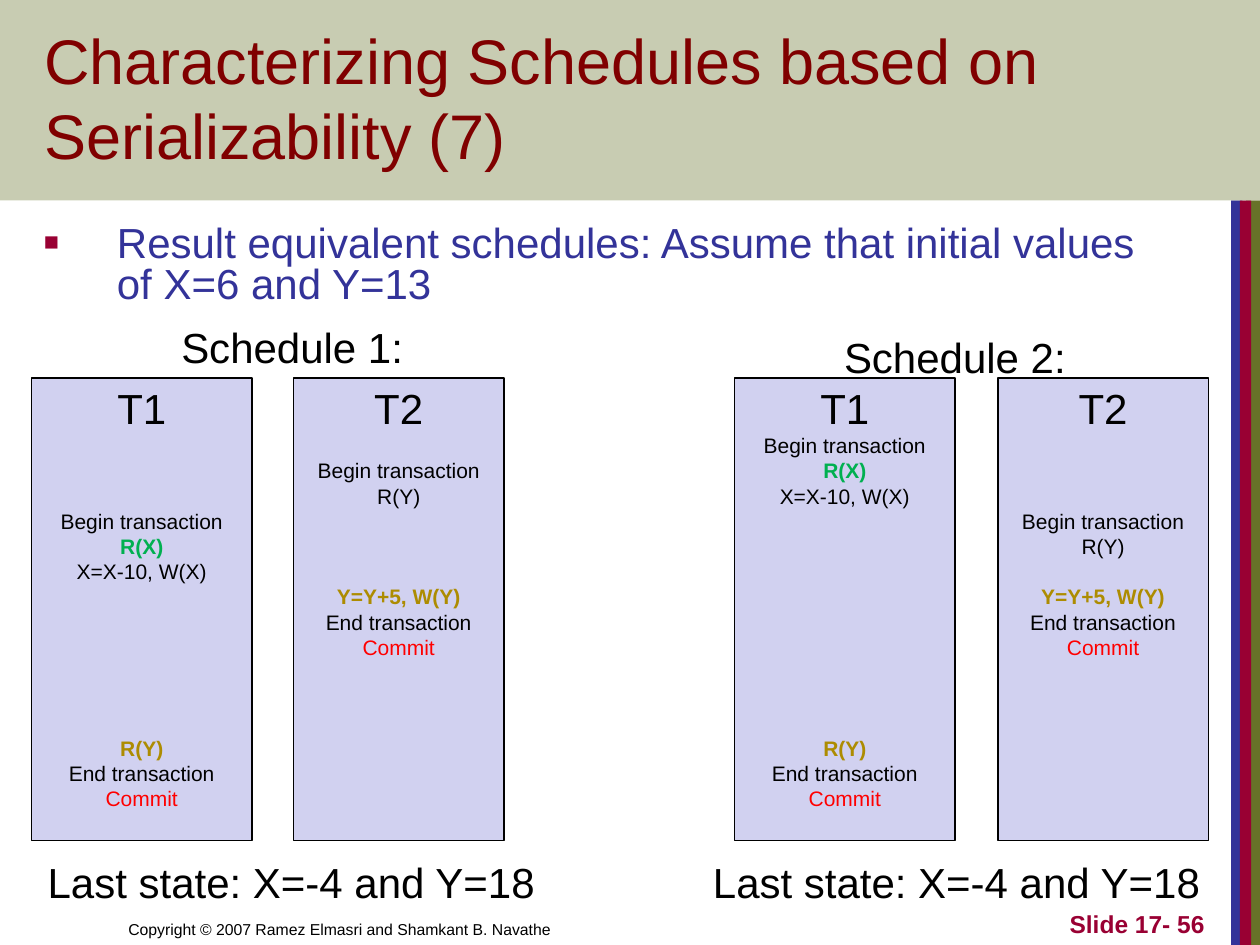
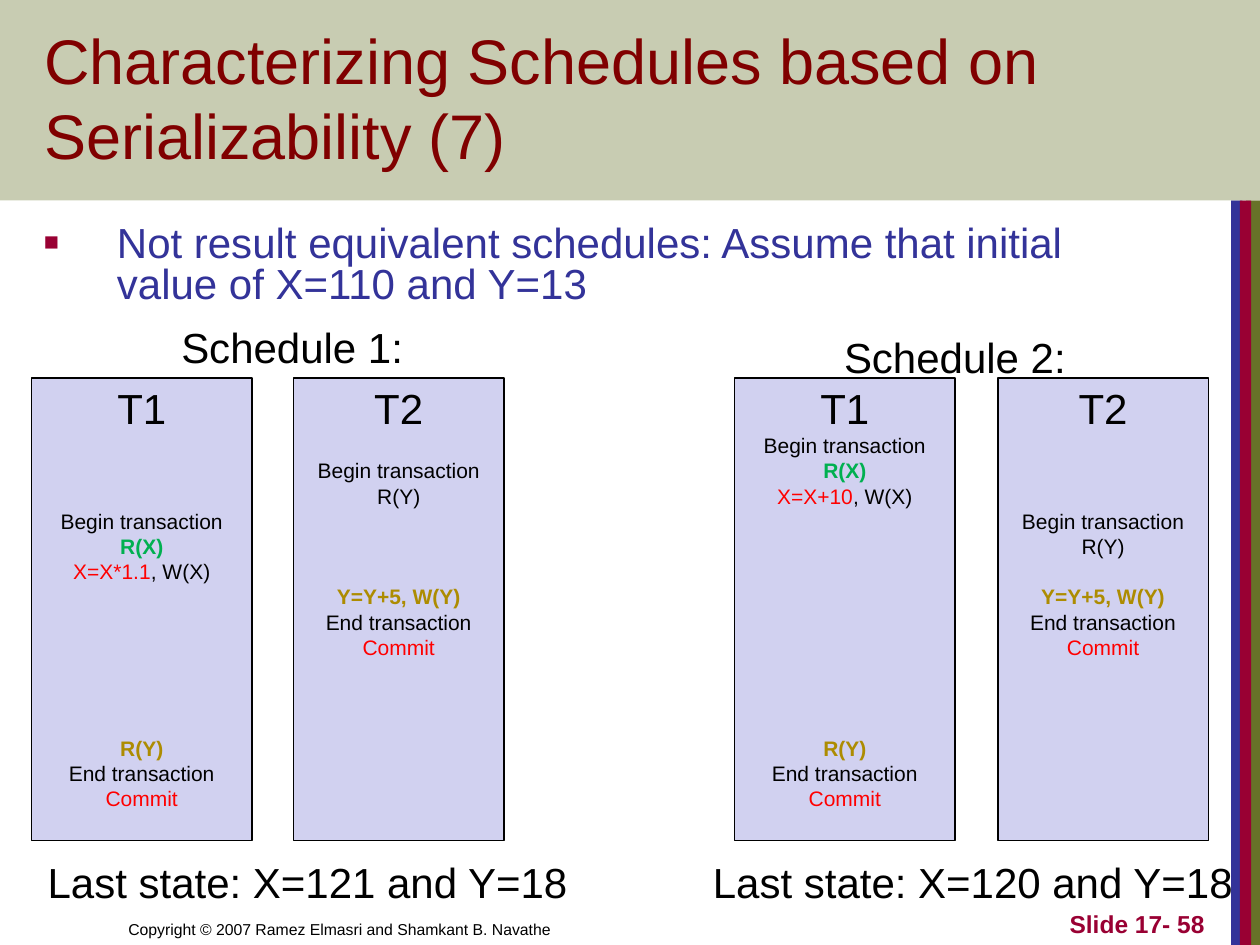
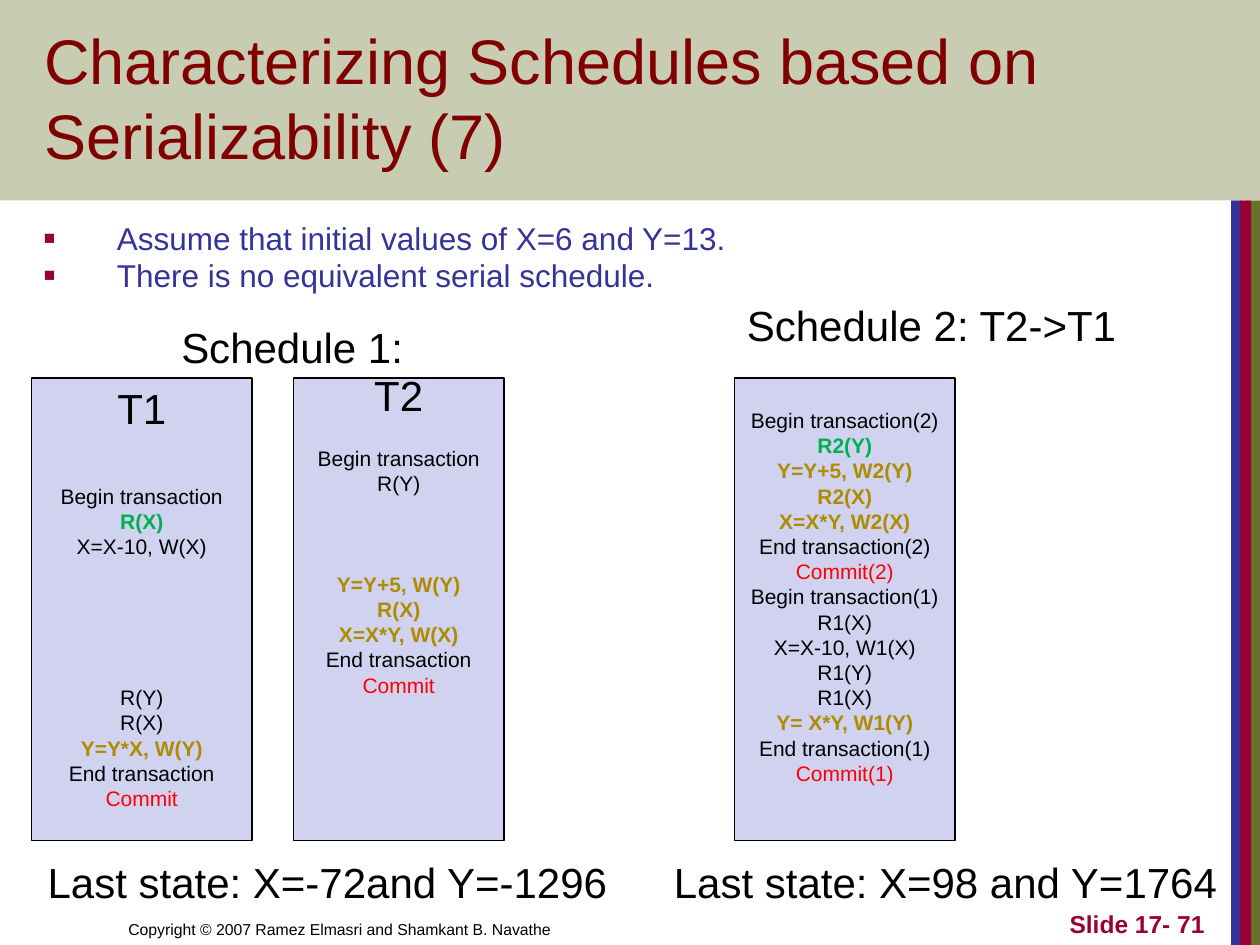
import pptx
import pptx.util
from lxml import etree
from pptx.dml.color import RGBColor
from pptx.enum.shapes import MSO_SHAPE
from pptx.enum.text import MSO_ANCHOR, MSO_AUTO_SIZE, PP_ALIGN
from pptx.oxml.ns import qn
from pptx.util import Inches

FONT = "Arial"
BLACK, NAVY, CRIMSON, MAROON = "000000", "333399", "990033", "800000"
OLIVE, SAGE, LAVENDER = "677228", "C8CCB2", "D1D1F0"

TITLE = "Characterizing Schedules based on Serializability (7)"
COPYRIGHT = "Copyright © 2007 Ramez Elmasri and Shamkant B. Navathe"

# left, top, width, height, colour; later bands overlap earlier ones
BANDS = [
    (9.89, 1.59, 0.11, 5.91, OLIVE),
    (9.77, 1.59, 0.09, 5.91, NAVY),
    (9.84, 1.59, 0.09, 5.91, CRIMSON),
    (0, 0, 10, 1.59, SAGE),
]

# Run styles: size, colour, bold
HEADING = (24, BLACK, False)
STEP = (12, BLACK, False)
READ = (12, "00B050", True)
CHANGE = (12, "AD8C01", True)
ALERT = (12, "FF0000", False)

# A line is the number of empty rows above it, then its runs
ROW_HEIGHT = 14.4
T1 = (0, ("T1", HEADING))
T2 = (0, ("T2", HEADING))
READ_X = (0, ("R(X)", READ))
SUBTRACT_X = (0, ("X=X-10, W(X)", STEP))
FINISH = [(0, ("End transaction", STEP)), (0, ("Commit", ALERT))]
WRITE_Y = ("Y=Y+5, W(Y)", CHANGE)

t2_early_start = [T2, (1, ("Begin transaction", STEP)), (0, ("R(Y)", STEP)), (3, WRITE_Y)]
t2_early = t2_early_start + FINISH
t2_late = [T2, (3, ("Begin transaction", STEP)), (0, ("R(Y)", STEP)), (1, WRITE_Y)] + FINISH
t2_multiply = t2_early_start + [
    (0, ("R(X)", CHANGE)), (0, ("X=X*Y, W(X)", CHANGE))] + FINISH

t1_late_start = [T1, (3, ("Begin transaction", STEP)), READ_X]
t1_late_end = [(6, ("R(Y)", CHANGE))] + FINISH
t1_early_start = [T1, (0, ("Begin transaction", STEP)), READ_X]
t1_early_end = [(9, ("R(Y)", CHANGE))] + FINISH
t1_multiply = [
    T1, (2, ("Begin transaction", STEP)), READ_X, SUBTRACT_X,
    (5, ("R(Y)", STEP)), (0, ("R(X)", STEP)), (0, ("Y=Y*X, W(Y)", CHANGE))] + FINISH
scale_x = (0, ("X=X*1.1", ALERT), (", W(X)", STEP))
increase_x = (0, ("X=X+10", ALERT), (", W(X)", STEP))
serial_t2_t1 = [(0, run) for run in [
    ("Begin transaction(2)", STEP), ("R2(Y)", READ), ("Y=Y+5, W2(Y)", CHANGE),
    ("R2(X)", CHANGE), ("X=X*Y, W2(X)", CHANGE), ("End transaction(2)", STEP),
    ("Commit(2)", ALERT), ("Begin transaction(1)", STEP), ("R1(X)", STEP),
    ("X=X-10, W1(X)", STEP), ("R1(Y)", STEP), ("R1(X)", STEP),
    ("Y= X*Y, W1(Y)", CHANGE), ("End transaction(1)", STEP), ("Commit(1)", ALERT)]]

COLUMNS = [(0.25, 1.75), (2.33, 1.67), (5.83, 1.75), (7.92, 1.67)]
SCHEDULE_1 = (1.34, 2.5, 1.98, "Schedule 1:")
SCHEDULE_2 = (6.6, 2.58, 1.98, "Schedule 2:")

# Each transaction is (empty rows below the text, lines)
# Each caption is (left, top, width, text)
SLIDES = [
    dict(number=56, point_size=24,
         points=["Result equivalent schedules: Assume that initial values of X=6 and Y=13"],
         transactions=[(1, t1_late_start + [SUBTRACT_X] + t1_late_end), (7, t2_early),
                       (1, t1_early_start + [SUBTRACT_X] + t1_early_end), (7, t2_late)],
         captions=[SCHEDULE_1, SCHEDULE_2,
                   (0.28, 6.75, 4.11, "Last state: X=-4 and Y=18"),
                   (5.56, 6.75, 4.11, "Last state: X=-4 and Y=18")]),
    dict(number=58, point_size=24,
         points=["Not result equivalent schedules: Assume that initial value of X=110 and Y=13"],
         transactions=[(1, t1_late_start + [scale_x] + t1_late_end), (7, t2_early),
                       (1, t1_early_start + [increase_x] + t1_early_end), (7, t2_late)],
         captions=[SCHEDULE_1, SCHEDULE_2,
                   (0.28, 6.75, 4.37, "Last state: X=121 and Y=18"),
                   (5.56, 6.75, 4.34, "Last state: X=120 and Y=18")]),
    dict(number=71, point_size=18,
         points=["Assume that initial values of X=6 and Y=13.",
                 "There is no equivalent serial schedule."],
         transactions=[(1, t1_multiply), (6, t2_multiply), (1, serial_t2_t1)],
         captions=[SCHEDULE_1, (5.83, 2.33, 3.16, "Schedule 2: T2->T1"),
                   (0.28, 6.75, 4.69, "Last state: X=-72and Y=-1296"),
                   (5.25, 6.75, 4.56, "Last state: X=98 and Y=1764")]),
]


def add_run(paragraph, text, size, color, bold=False):
    run = paragraph.add_run()
    run.text = text
    run.font.name = FONT
    run.font.size = pptx.util.Pt(size)
    run.font.bold = bold
    run.font.color.rgb = RGBColor.from_string(color)


def add_rectangle(slide, left, top, width, height, color):
    rectangle = slide.shapes.add_shape(
        MSO_SHAPE.RECTANGLE, Inches(left), Inches(top), Inches(width), Inches(height))
    rectangle.shadow.inherit = False
    rectangle.fill.solid()
    rectangle.fill.fore_color.rgb = RGBColor.from_string(color)
    rectangle.line.fill.background()
    return rectangle


presentation = pptx.Presentation()
presentation.slide_width = Inches(10)
presentation.slide_height = Inches(7.5)

for content in SLIDES:
    slide = presentation.slides.add_slide(presentation.slide_layouts[5])
    title = slide.shapes.title

    for band in BANDS:
        title._element.addprevious(add_rectangle(slide, *band)._element)

    title.left, title.top = Inches(0.25), Inches(0.33)
    title.width, title.height = Inches(8.53), Inches(1.09)
    title.text_frame.auto_size = MSO_AUTO_SIZE.NONE
    title.text_frame.vertical_anchor = MSO_ANCHOR.BOTTOM
    heading = title.text_frame.paragraphs[0]
    heading.alignment = PP_ALIGN.LEFT
    add_run(heading, TITLE, 36, MAROON)

    footers = [
        (0.92, 4.92, PP_ALIGN.LEFT, COPYRIGHT, 9, BLACK, False),
        (7.58, 2.08, PP_ALIGN.RIGHT, f"Slide 17- {content['number']}", 14, CRIMSON, True),
    ]
    for left, width, alignment, *run in footers:
        footer = slide.shapes.add_textbox(
            Inches(left), Inches(7), Inches(width), Inches(0.5)).text_frame
        footer.word_wrap = True
        footer.vertical_anchor = MSO_ANCHOR.BOTTOM
        footer.paragraphs[0].alignment = alignment
        add_run(footer.paragraphs[0], *run)

    body = slide.shapes.add_textbox(
        Inches(0.25), Inches(1.75), Inches(9.07), Inches(0.58)).text_frame
    body.word_wrap = True
    body.margin_right = 0
    for index, point in enumerate(content["points"]):
        paragraph = body.add_paragraph() if index else body.paragraphs[0]
        properties = paragraph._p.get_or_add_pPr()
        properties.set("marL", str(Inches(0.58)))
        properties.set("indent", str(-Inches(0.58)))
        bullet_color = etree.SubElement(properties, qn("a:buClr"))
        etree.SubElement(bullet_color, qn("a:srgbClr"), val=CRIMSON)
        etree.SubElement(properties, qn("a:buSzPct"), val="60000")
        etree.SubElement(properties, qn("a:buFont"), typeface=FONT)
        etree.SubElement(properties, qn("a:buChar"), char="■")
        paragraph.line_spacing = 0.8
        if index:
            paragraph.space_before = pptx.util.Pt(0.2 * content["point_size"])
        add_run(paragraph, point, content["point_size"], NAVY)

    for (left, width), (rows_below, lines) in zip(COLUMNS, content["transactions"]):
        transaction = add_rectangle(slide, left, 3, width, 3.67, LAVENDER)
        transaction.line.color.rgb = RGBColor.from_string(BLACK)
        transaction.line.width = pptx.util.Pt(0.75)
        steps = transaction.text_frame
        steps.word_wrap = False
        steps.vertical_anchor = MSO_ANCHOR.MIDDLE
        steps.margin_top = 0
        steps.margin_bottom = pptx.util.Pt(rows_below * ROW_HEIGHT)
        for index, (rows_above, *runs) in enumerate(lines):
            paragraph = steps.add_paragraph() if index else steps.paragraphs[0]
            paragraph.alignment = PP_ALIGN.CENTER
            if rows_above:
                paragraph.space_before = pptx.util.Pt(rows_above * ROW_HEIGHT)
            for text, style in runs:
                add_run(paragraph, text, *style)

    for left, top, width, text in content["captions"]:
        caption = slide.shapes.add_textbox(
            Inches(left), Inches(top), Inches(width), Inches(0.5)).text_frame
        caption.word_wrap = False
        caption.auto_size = MSO_AUTO_SIZE.SHAPE_TO_FIT_TEXT
        add_run(caption.paragraphs[0], text, 24, BLACK)

presentation.save("out.pptx")
